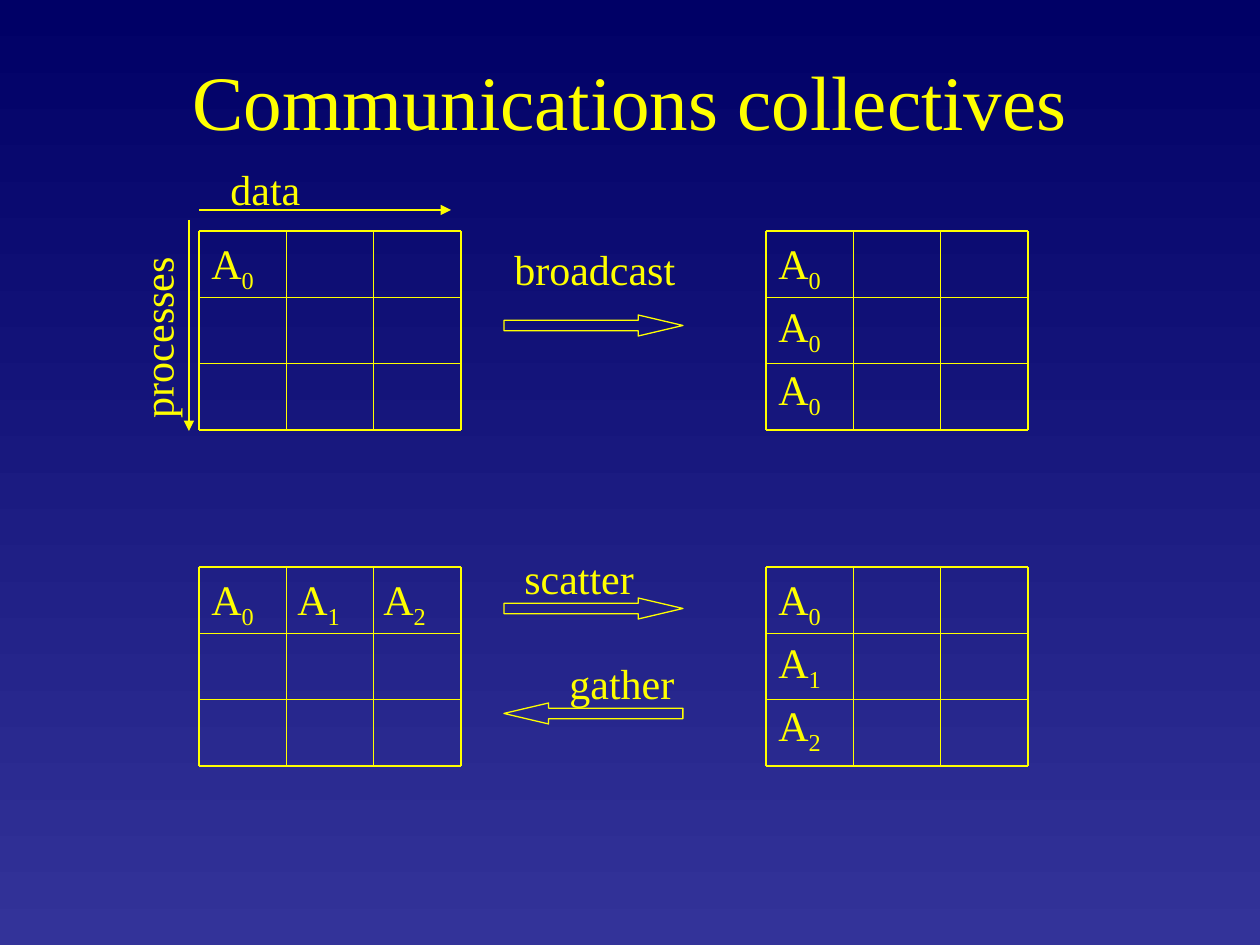
from lxml import etree
from pptx import Presentation
from pptx import util as u
from pptx.dml.color import RGBColor
from pptx.enum import shapes, text
from pptx.oxml.ns import qn

PX = 914400 // 126
HUE = {"ink": "FFFF00", "top": "000066", "foot": "333399"}
FONT = "Times New Roman"

TITLE = ("Communications collectives", (95, 21, 1071, 158))
SPAN, CELLS = (262, 199), 3
STEP = (86, 63)  # from one entry to the next, across and down
BOX = 71
# left, top, entries as (subscript, column, row)
GRIDS = [
    (199, 231, [(0, 0, 0)]),
    (766, 231, [(0, 0, 0), (0, 0, 1), (0, 0, 2)]),
    (199, 567, [(0, 0, 0), (1, 1, 0), (2, 2, 0)]),
    (766, 567, [(0, 0, 0), (1, 0, 1), (2, 0, 2)]),
]
# text, box, rotation
LABELS = [
    ("data", (218, 157, 96, 63), 0),
    ("processes", (63, 305, 188, 63), 270),
    ("broadcast", (502, 237, 188, 63), 0),
    ("scatter", (512, 546, 137, 63), 0),
    ("gather", (557, 651, 132, 63), 0),
]
AXES = [(189, 220, 189, 431), (199, 210, 451, 210)]
# top, points left
ARROWS = [(315, False), (598, False), (703, True)]


def emu(vals):
    return [u.Emu(round(v * PX)) for v in vals]


def color(name):
    return RGBColor.from_string(HUE[name])


def style(font, size):
    font.name, font.size = FONT, u.Pt(size)
    font.color.rgb = color("ink")


def write(slide, words, box, size=24, wrap=True, sub=None):
    """Add a text box, with an optional subscript after its words."""
    shape = slide.shapes.add_textbox(*emu(box))
    frame = shape.text_frame
    frame.word_wrap = wrap
    if not wrap:
        frame.auto_size = text.MSO_AUTO_SIZE.SHAPE_TO_FIT_TEXT
    par = frame.paragraphs[0]
    style(par.font, size)
    par.add_run().text = words
    if sub is not None:
        run = par.add_run()
        run.text = str(sub)
        run.font._element.set("baseline", "-25000")
    return shape


def rule(home, ends, head=False):
    line = home.add_connector(shapes.MSO_CONNECTOR.STRAIGHT, *emu(ends))
    line.line.color.rgb = color("ink")
    line.line.width = u.Pt(0.75)
    if head:
        tip = etree.SubElement(line.line._get_or_add_ln(), qn("a:tailEnd"))
        tip.set("type", "triangle")
    etree.SubElement(line._element.spPr, qn("a:effectLst"))


def grid(slide, left, top, items):
    for sub, col, row in items:
        box = (left + col * STEP[0], top + row * STEP[1], BOX, BOX)
        write(slide, "A", box, sub=sub)
    wide, high = SPAN
    group = slide.shapes.add_group_shape().shapes
    for i in range(CELLS + 1):
        x, y = left + wide * i / CELLS, top + high * i / CELLS
        rule(group, (left, y, left + wide, y))
        rule(group, (x, top, x, top + high))


def arrow(slide, top, back):
    shape = slide.shapes.add_shape(
        shapes.MSO_SHAPE.RIGHT_ARROW, *emu((504, top, 179, 21)))
    shape.adjustments[0], shape.adjustments[1] = 0.5, 2.13
    shape.shadow.inherit = False
    shape.fill.background()
    shape.line.color.rgb = color("ink")
    shape.line.width = u.Pt(0.75)
    if back:
        shape._element.spPr.xfrm.set("flipH", "1")


def main():
    deck = Presentation()
    deck.slide_width, deck.slide_height = emu((1260, 945))
    slide = deck.slides.add_slide(deck.slide_layouts[6])

    fill = slide.background.fill
    fill.gradient()
    fill.gradient_angle = 270  # counted anticlockwise: top to bottom
    for stop, name, pos in zip(fill.gradient_stops, ("top", "foot"), (0, 1)):
        stop.color.rgb = color(name)
        stop.position = pos

    title = write(slide, *TITLE, size=44).text_frame
    title.vertical_anchor = text.MSO_ANCHOR.MIDDLE
    title.paragraphs[0].alignment = text.PP_ALIGN.CENTER

    for left, top, items in GRIDS:
        grid(slide, left, top, items)
    for words, box, turn in LABELS:
        write(slide, words, box, wrap=False).rotation = turn
    for ends in AXES:
        rule(slide.shapes, ends, head=True)
    for top, back in ARROWS:
        arrow(slide, top, back)

    deck.save("out.pptx")


if __name__ == "__main__":
    main()
